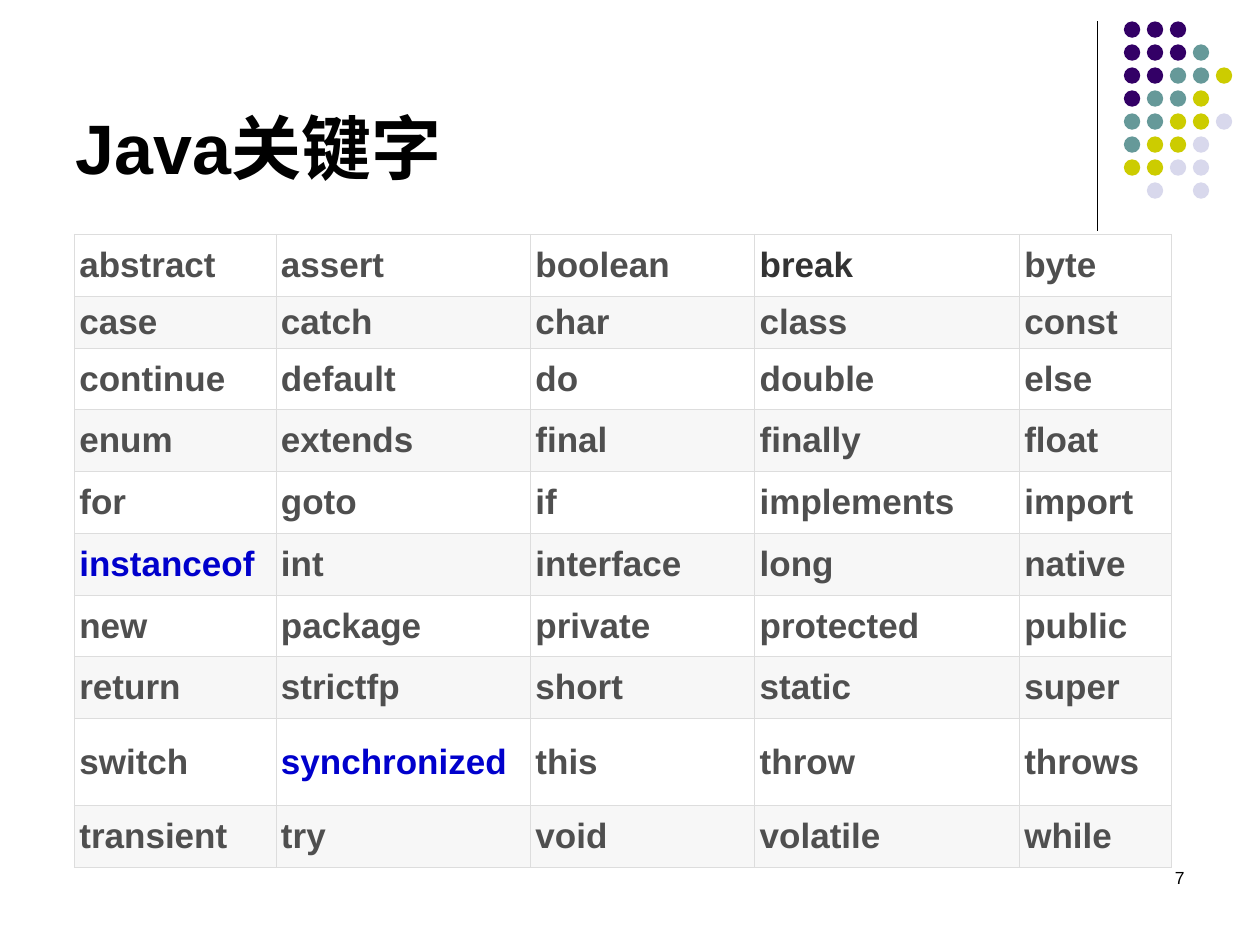
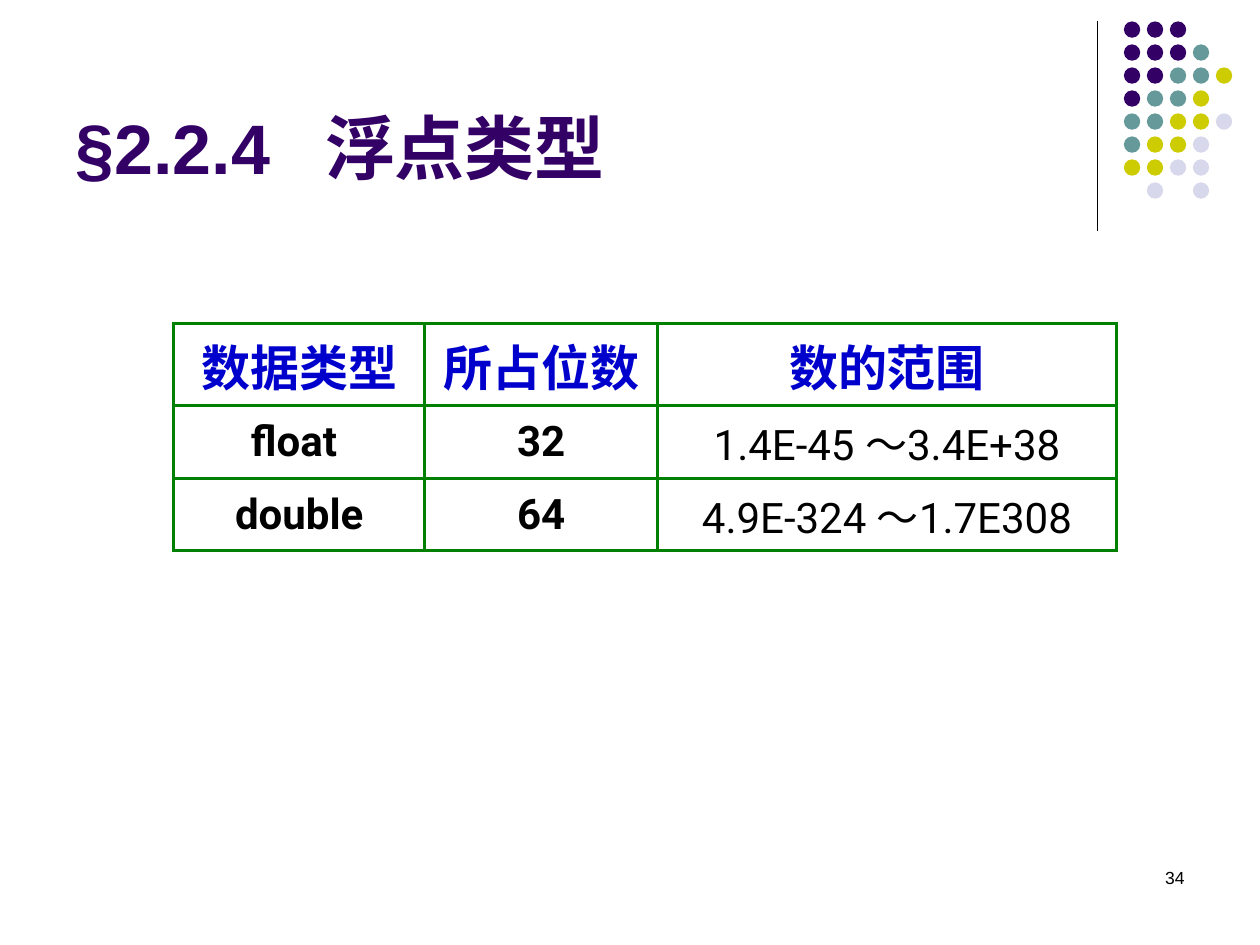
from lxml.etree import SubElement
from pptx import Presentation
from pptx.dml.color import RGBColor
from pptx.enum.shapes import MSO_CONNECTOR, MSO_SHAPE
from pptx.enum.text import MSO_ANCHOR, MSO_AUTO_SIZE, PP_ALIGN
from pptx.oxml.ns import qn
from pptx.util import Inches, Pt

HUES = {
    "ink": "000000", "plum": "330066", "teal": "669999", "lime": "CCCC00",
    "mist": "D8D8EC", "blue": "0000CC", "green": "008000", "grey": "4F4F4F",
    "dark": "333333", "rule": "DDDDDD", "white": "FFFFFF", "pale": "F7F7F7",
}
LATIN, BODY, HAN = "Arial", "Roboto", "Noto Sans CJK SC"
DOTS = ["PPP", "PPPT", "PPTTL", "PTTL", "TTLLM", "TLLM", "LLMM", " M M"]
DOT_HUES = {"P": "plum", "T": "teal", "L": "lime", "M": "mist"}

WORDS = """
abstract assert boolean break byte
case catch char class const
continue default do double else
enum extends final finally float
for goto if implements import
instanceof int interface long native
new package private protected public
return strictfp short static super
switch synchronized this throw throws
transient try void volatile while
"""
MARKED = {"break": "dark", "instanceof": "blue", "synchronized": "blue"}
FLOATS = [
    ["数据类型", "所占位数", "数的范围"],
    ["float ", "32", "1.4E-45 ～3.4E+38"],
    ["double", "64", "4.9E-324 ～1.7E308"],
]


def paint(hue):
    return RGBColor.from_string(HUES[hue])


def style(par, size, hue, bold=False, face=LATIN):
    for run in par.runs:
        font = run.font
        font.name, font.size, font.bold = face, Pt(size), bold
        font.color.rgb = paint(hue)
        SubElement(run._r.get_or_add_rPr(), qn("a:ea"), typeface=HAN)


def set_title(slide, box, text, hue, stop=None):
    title = slide.shapes.title
    title.left, title.top, title.width, title.height = map(Inches, box)
    frame = title.text_frame
    frame.text = text
    frame.auto_size = MSO_AUTO_SIZE.NONE
    frame.vertical_anchor = MSO_ANCHOR.BOTTOM
    par = frame.paragraphs[0]
    par.alignment = PP_ALIGN.LEFT
    if stop:
        tabs = SubElement(par._p.get_or_add_pPr(), qn("a:tabLst"))
        SubElement(tabs, qn("a:tab"), pos=str(Inches(stop)), algn="l")
    style(par, 40, hue, True)


def add_dots(slide, box):
    left, top, width, height = box
    line = slide.shapes.add_connector(
        MSO_CONNECTOR.STRAIGHT, Inches(left), Inches(top),
        Inches(left), Inches(top + height))
    line.line.color.rgb = paint("ink")
    line.line.width = Pt(0.75)
    SubElement(line._element.spPr, qn("a:effectLst"))
    size, inset = 0.13, 0.21
    step = (width - inset - size) / 4
    group = slide.shapes.add_group_shape()
    for row, marks in enumerate(DOTS):
        for col, mark in enumerate(marks):
            if mark == " ":
                continue
            dot = group.shapes.add_shape(
                MSO_SHAPE.OVAL, Inches(left + inset + col * step),
                Inches(top + row * step), Inches(size), Inches(size))
            dot.shadow.inherit = False
            dot.fill.solid()
            dot.fill.fore_color.rgb = paint(DOT_HUES[mark])
            dot.line.fill.background()


def add_number(slide, box, number):
    frame = slide.shapes.add_textbox(*map(Inches, box)).text_frame
    frame.word_wrap = True
    frame.text = str(number)
    par = frame.paragraphs[0]
    par.alignment = PP_ALIGN.RIGHT
    style(par, 10, "ink")


def add_edges(cell, hue, width):
    props = cell._tc.get_or_add_tcPr()
    for side in ("a:lnL", "a:lnR", "a:lnT", "a:lnB"):
        edge = SubElement(props, qn(side), w=str(Pt(width)))
        fill = SubElement(edge, qn("a:solidFill"))
        SubElement(fill, qn("a:srgbClr"), val=HUES[hue])


def add_grid(slide, box, rows, wide, tall, edge, dress):
    table = slide.shapes.add_table(
        len(rows), len(wide), *map(Inches, box)).table
    table.first_row = table.horz_banding = False
    for col, width in zip(table.columns, wide):
        col.width = Inches(width)
    for line, height in zip(table.rows, tall):
        line.height = Inches(height)
    for row, texts in enumerate(rows):
        for col, text in enumerate(texts):
            cell = table.cell(row, col)
            cell.text = text
            cell.vertical_anchor = MSO_ANCHOR.MIDDLE
            add_edges(cell, *edge)
            dress(cell, row, col)


def dress_word(cell, row, col):
    cell.margin_left = cell.margin_right = Inches(0.04)
    cell.margin_top = cell.margin_bottom = Inches(0.04)
    cell.fill.solid()
    cell.fill.fore_color.rgb = paint("pale" if row % 2 else "white")
    style(cell.text_frame.paragraphs[0], 20,
          MARKED.get(cell.text, "grey"), True)


def dress_float(cell, row, col):
    cell.fill.background()
    par = cell.text_frame.paragraphs[0]
    par.alignment = PP_ALIGN.CENTER
    if row == 0:
        style(par, 28, "blue", True, BODY)
    else:
        style(par, 24, "ink", col < 2, BODY)


def add_page(deck, number, text, hue, stop=None):
    slide = deck.slides.add_slide(deck.slide_layouts[5])
    add_dots(slide, (8.71, 0.17, 1.07, 1.66))
    set_title(slide, (0.5, 0.13, 8.25, 1.42), text, hue, stop)
    add_number(slide, (7.17, 6.83, 2.33, 0.5), number)
    return slide


def add_words(deck):
    slide = add_page(deck, 7, "Java关键字", "ink")
    rows = [line.split() for line in WORDS.strip().splitlines()]
    tall = [0.49] * len(rows)
    tall[1], tall[8] = 0.29, 0.69
    add_grid(slide, (0.59, 1.86, 8.72, 5.06), rows,
             [1.6, 2.02, 1.78, 2.1, 1.21], tall, ("rule", 0.6), dress_word)


def add_floats(deck):
    slide = add_page(deck, 34, "§2.2.4\t浮点类型", "plum", 1.98)
    add_grid(slide, (1.38, 2.57, 7.48, 1.8), FLOATS,
             [1.99, 1.85, 3.64], [0.65, 0.58, 0.57], ("green", 2), dress_float)


def main():
    deck = Presentation()
    deck.slide_width, deck.slide_height = Inches(10), Inches(7.5)
    add_words(deck)
    add_floats(deck)
    deck.save("out.pptx")


if __name__ == "__main__":
    main()
